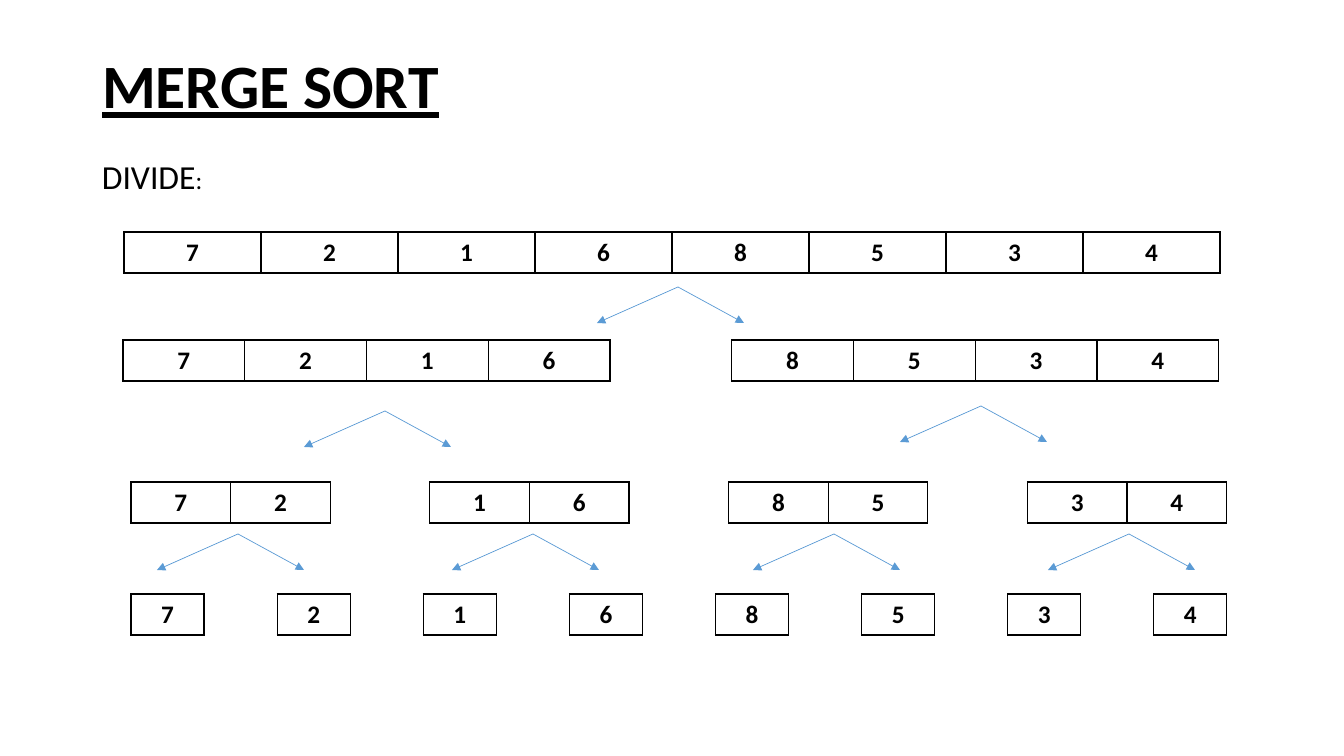
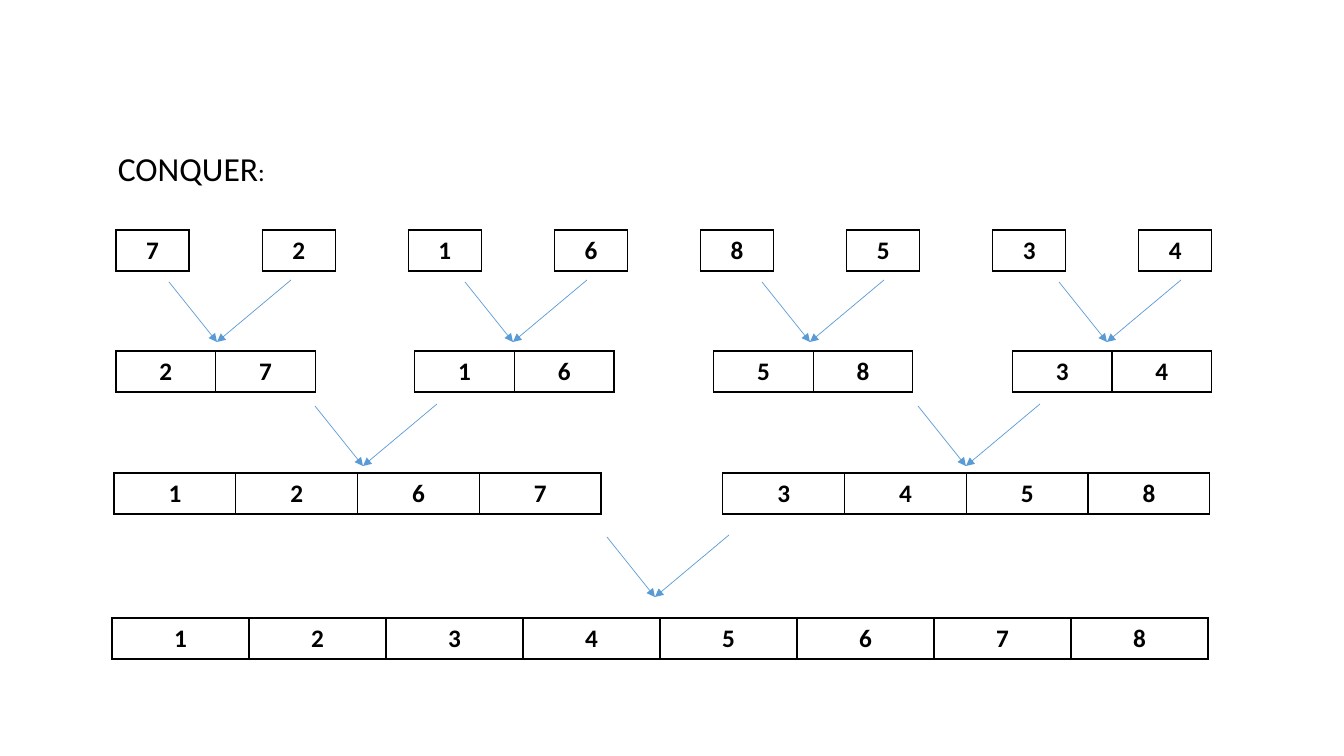
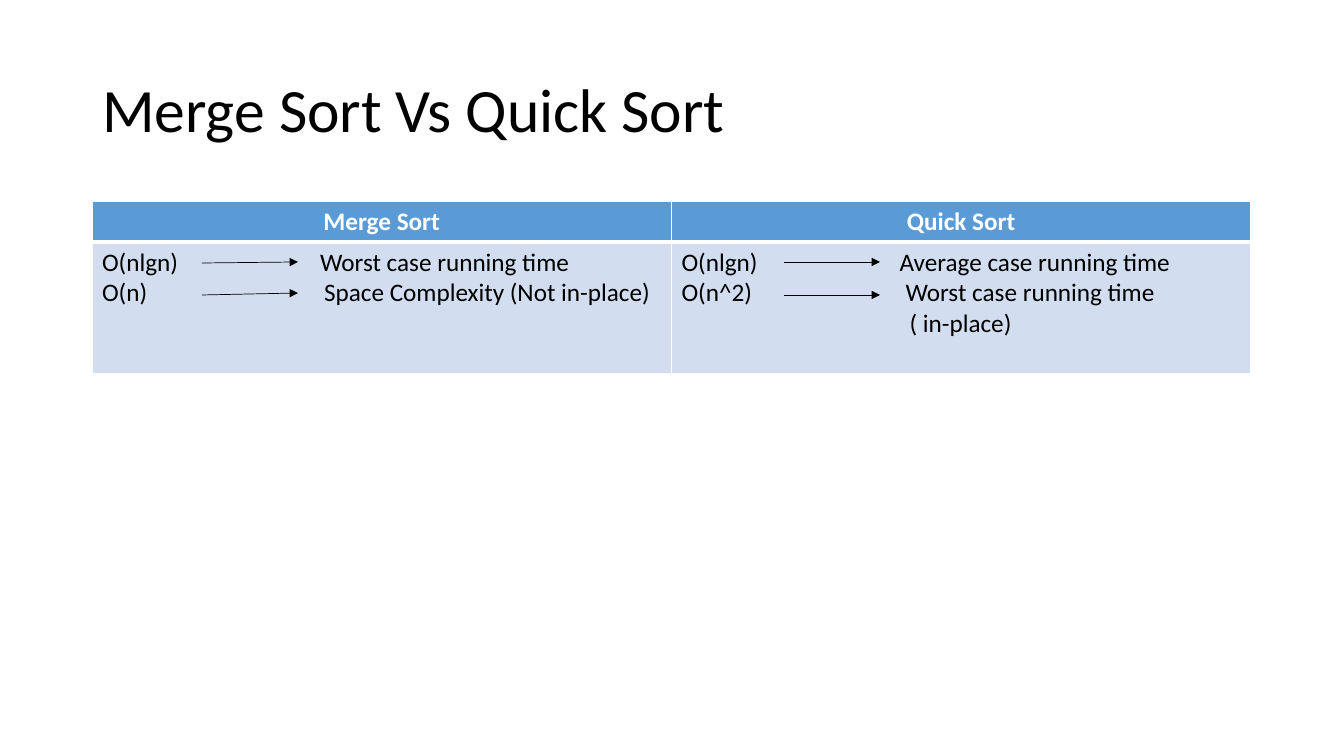
from lxml import etree
from pptx import Presentation
from pptx.dml.color import RGBColor
from pptx.enum.shapes import MSO_CONNECTOR
from pptx.enum.text import MSO_ANCHOR, PP_ALIGN
from pptx.oxml.ns import qn
from pptx.util import Pt

STRAIGHT = MSO_CONNECTOR.STRAIGHT
MIDDLE = MSO_ANCHOR.MIDDLE
LEFT, CENTER = PP_ALIGN.LEFT, PP_ALIGN.CENTER

BLACK = RGBColor(0x00, 0x00, 0x00)
WHITE = RGBColor(0xFF, 0xFF, 0xFF)
BLUE = RGBColor(0x5B, 0x9B, 0xD5)
PALE_BLUE = RGBColor(0xD2, 0xDE, 0xEF)

FONT = "Calibri"
PLAIN_TABLE_STYLE = "{2D5ABB26-0587-4C30-8999-92F81FD0307C}"
TITLE_ONLY, BLANK = 5, 6
EMU_PER_PX = 914400 / 100.8
SLIDE_SIZE = (1344, 756)
MARGIN, CONTENT_WIDTH = 92, 1159
ROW_WIDTH, ROW_HEIGHT = 1096, 41
LABEL_SIZE = (200, 50)

# Each level: left, top, and the groups of numbers, one empty column apart.
# Each branch: the point where its two arrows meet.
DIVIDE = {
    "label": ("DIVIDE", 92, 151),
    "levels": [
        (124, 232, ["72168534"]),
        (123, 340, ["7216", "8534"]),
        (131, 482, ["72", "16", "85", "34"]),
        (131, 594, list("72168534")),
    ],
    "branches": [(678, 287), (385, 411), (981, 406),
                 (238, 534), (533, 534), (834, 534), (1129, 534)],
    "arms": [(-81, 36), (66, 36)],
    "outward": True,
}
CONQUER = {
    "label": ("CONQUER", 108, 143),
    "levels": [
        (116, 230, list("72168534")),
        (116, 351, ["27", "16", "58", "34"]),
        (114, 473, ["1267", "3458"]),
        (112, 618, ["12345678"]),
    ],
    "branches": [(217, 342), (513, 342), (810, 342), (1107, 342),
                 (363, 466), (966, 466), (655, 597)],
    "arms": [(74, -62), (-48, -60)],
    "outward": False,
}

# Each line: cost, tab position, meaning.
COMPARISON = {
    "Merge Sort": [("O(nlgn)", 218, "Worst case running time"),
                   ("O(n)", 222, "Space Complexity (Not in-place)")],
    "Quick Sort": [("O(nlgn)", 218, "Average case running time"),
                   ("O(n^2)", 224, "Worst case running time"),
                   ("", 228, "( in-place)")],
}
COMPARISON_TOP = 201
COMPARISON_ROWS = (41, 132)
COMPARISON_ARROWS = [((202, 263), (298, 262)), ((202, 295), (298, 293)),
                     ((784, 262), (880, 262)), ((784, 295), (880, 295))]


def px(*lengths):
    return [round(length * EMU_PER_PX) for length in lengths]


def write(para, text, size=18, color=BLACK, bold=False, underline=False, align=LEFT):
    para.alignment = align
    span = para.add_run()
    span.text = text
    font = span.font
    font.name, font.size, font.bold, font.underline = FONT, Pt(size), bold, underline
    font.color.rgb = color


def add_title(slide, text, height, **text_format):
    title = slide.shapes.title
    title.left, title.top, title.width, title.height = px(MARGIN, 40, CONTENT_WIDTH, height)
    title.text_frame.vertical_anchor = MIDDLE
    para = title.text_frame.paragraphs[0]
    para.line_spacing = 0.9
    write(para, text, size=44, **text_format)


def add_arrow(slide, start, end, color):
    arrow = slide.shapes.add_connector(STRAIGHT, *px(*start, *end))
    arrow.line.color.rgb = color
    arrow.line.width = Pt(0.5)
    properties = arrow.element.spPr
    etree.SubElement(properties.find(qn("a:ln")), qn("a:tailEnd"), type="triangle")
    etree.SubElement(properties, qn("a:effectLst"))


def add_plain_table(slide, left, top, width, row_heights, columns):
    frame = slide.shapes.add_table(len(row_heights), columns,
                                   *px(left, top, width, sum(row_heights)))
    table = frame.table
    table.first_row = table.horz_banding = False
    frame.element.find(".//" + qn("a:tableStyleId")).text = PLAIN_TABLE_STYLE
    for column in table.columns:
        column.width = px(width / columns)[0]
    for row, height in zip(table.rows, row_heights):
        row.height = px(height)[0]
    return table


def format_cell(cell, fill=None, border=BLACK, **widths):
    """Set the fill and the borders; widths are points by side: L, R, T, B."""
    properties = cell._tc.get_or_add_tcPr()
    for side in "LRTB":
        width = widths.get(side, 1)
        line = etree.SubElement(properties, qn("a:ln" + side), w=str(Pt(width)))
        if width:
            solid = etree.SubElement(line, qn("a:solidFill"))
            etree.SubElement(solid, qn("a:srgbClr"), val=str(border))
        else:
            etree.SubElement(line, qn("a:noFill"))
    if fill is None:
        cell.fill.background()
    else:
        cell.fill.solid()
        cell.fill.fore_color.rgb = fill


def add_level(slide, left, top, groups):
    numbers = " ".join(groups)
    table = add_plain_table(slide, left, top, ROW_WIDTH, [ROW_HEIGHT], len(numbers))
    for cell, number in zip(table.rows[0].cells, numbers):
        if number == " ":
            format_cell(cell, T=0, B=0)
        else:
            format_cell(cell)
            write(cell.text_frame.paragraphs[0], number, bold=True, align=CENTER)


def add_tree(slide, tree):
    for level in tree["levels"]:
        add_level(slide, *level)
    for x, y in tree["branches"]:
        for across, down in tree["arms"]:
            ends = [(x, y), (x + across, y + down)]
            if not tree["outward"]:
                ends.reverse()
            add_arrow(slide, *ends, BLUE)
    label, left, top = tree["label"]
    box = slide.shapes.add_textbox(*px(left, top, *LABEL_SIZE))
    box.text_frame.word_wrap = True
    para = box.text_frame.paragraphs[0]
    write(para, label, size=24)
    write(para, ":")


def add_comparison(slide):
    table = add_plain_table(slide, MARGIN, COMPARISON_TOP, CONTENT_WIDTH,
                            COMPARISON_ROWS, len(COMPARISON))
    for column, (heading, lines) in enumerate(COMPARISON.items()):
        head, body = table.cell(0, column), table.cell(1, column)
        format_cell(head, BLUE, WHITE, B=3)
        format_cell(body, PALE_BLUE, WHITE, T=3)
        write(head.text_frame.paragraphs[0], heading, color=WHITE, bold=True, align=CENTER)
        for index, (cost, stop, meaning) in enumerate(lines):
            frame = body.text_frame
            para = frame.add_paragraph() if index else frame.paragraphs[0]
            write(para, f"{cost}\t{meaning}")
            stops = etree.SubElement(para._p.get_or_add_pPr(), qn("a:tabLst"))
            etree.SubElement(stops, qn("a:tab"), pos=str(px(stop)[0]), algn="l")
    for start, end in COMPARISON_ARROWS:
        add_arrow(slide, start, end, BLACK)


def main():
    deck = Presentation()
    deck.slide_width, deck.slide_height = px(*SLIDE_SIZE)
    layouts = deck.slide_layouts

    divide = deck.slides.add_slide(layouts[TITLE_ONLY])
    add_title(divide, "MERGE SORT", 97, bold=True, underline=True)
    add_tree(divide, DIVIDE)

    conquer = deck.slides.add_slide(layouts[BLANK])
    add_tree(conquer, CONQUER)

    comparison = deck.slides.add_slide(layouts[TITLE_ONLY])
    add_title(comparison, "Merge Sort Vs Quick Sort", 146)
    add_comparison(comparison)

    deck.save("out.pptx")


if __name__ == "__main__":
    main()
